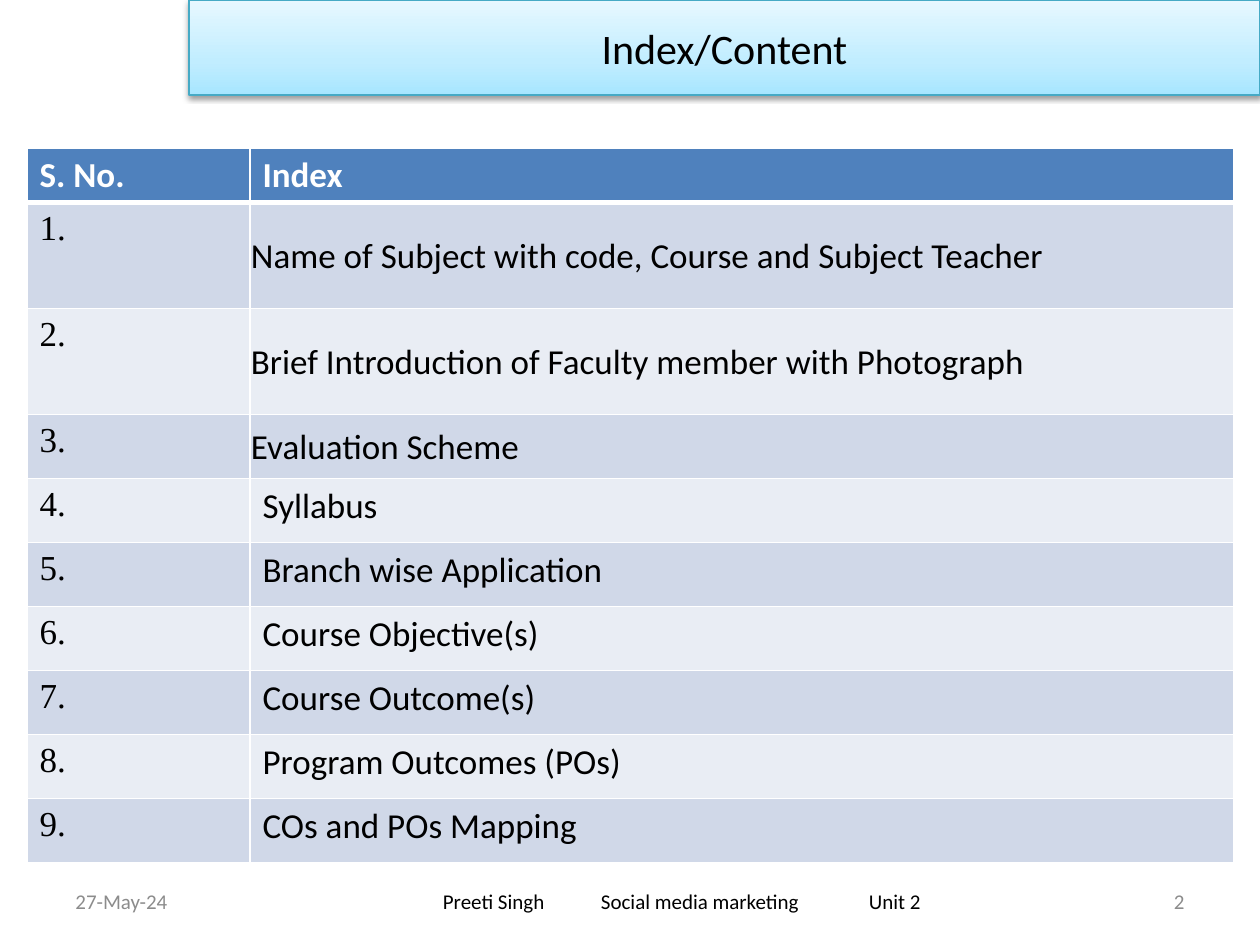
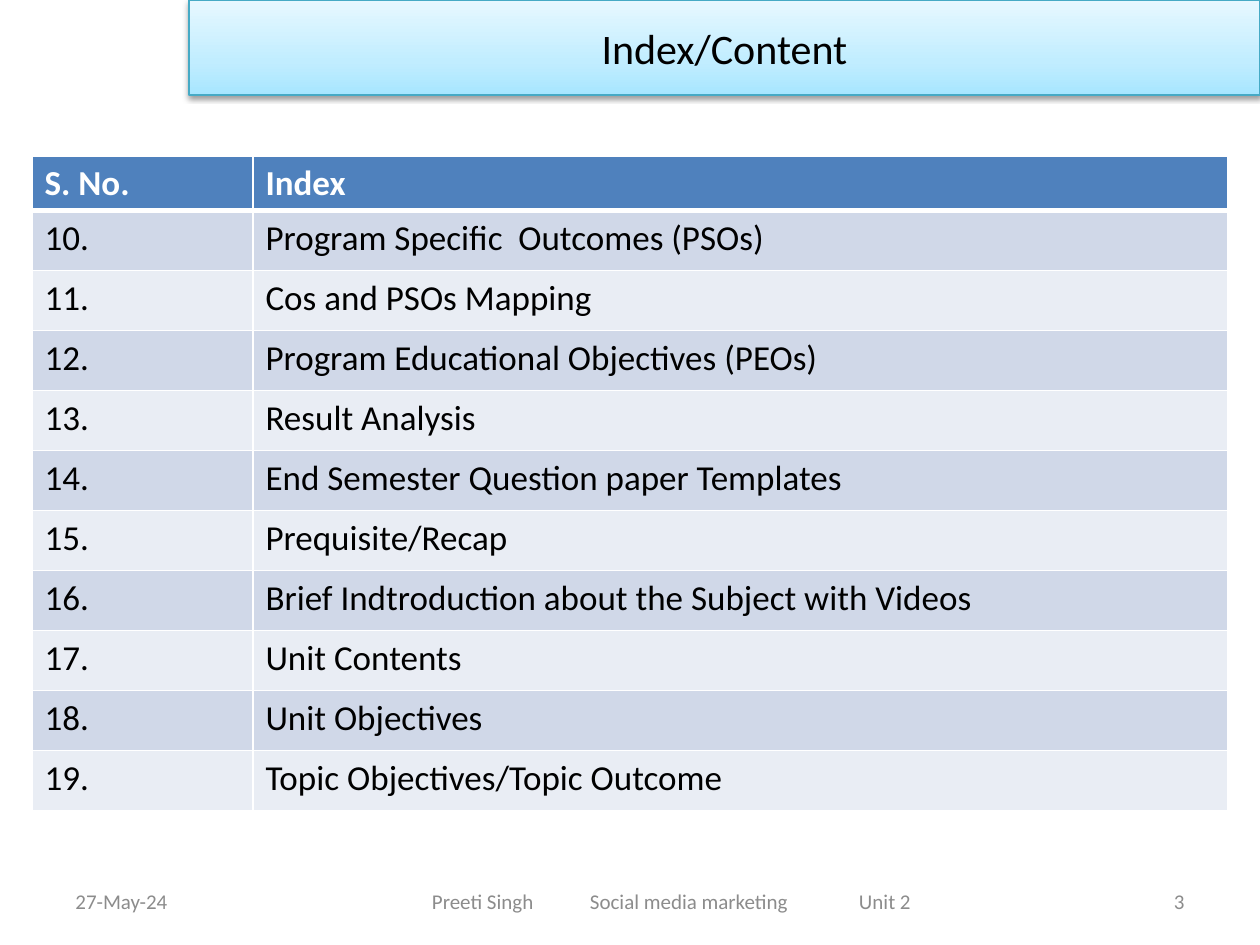
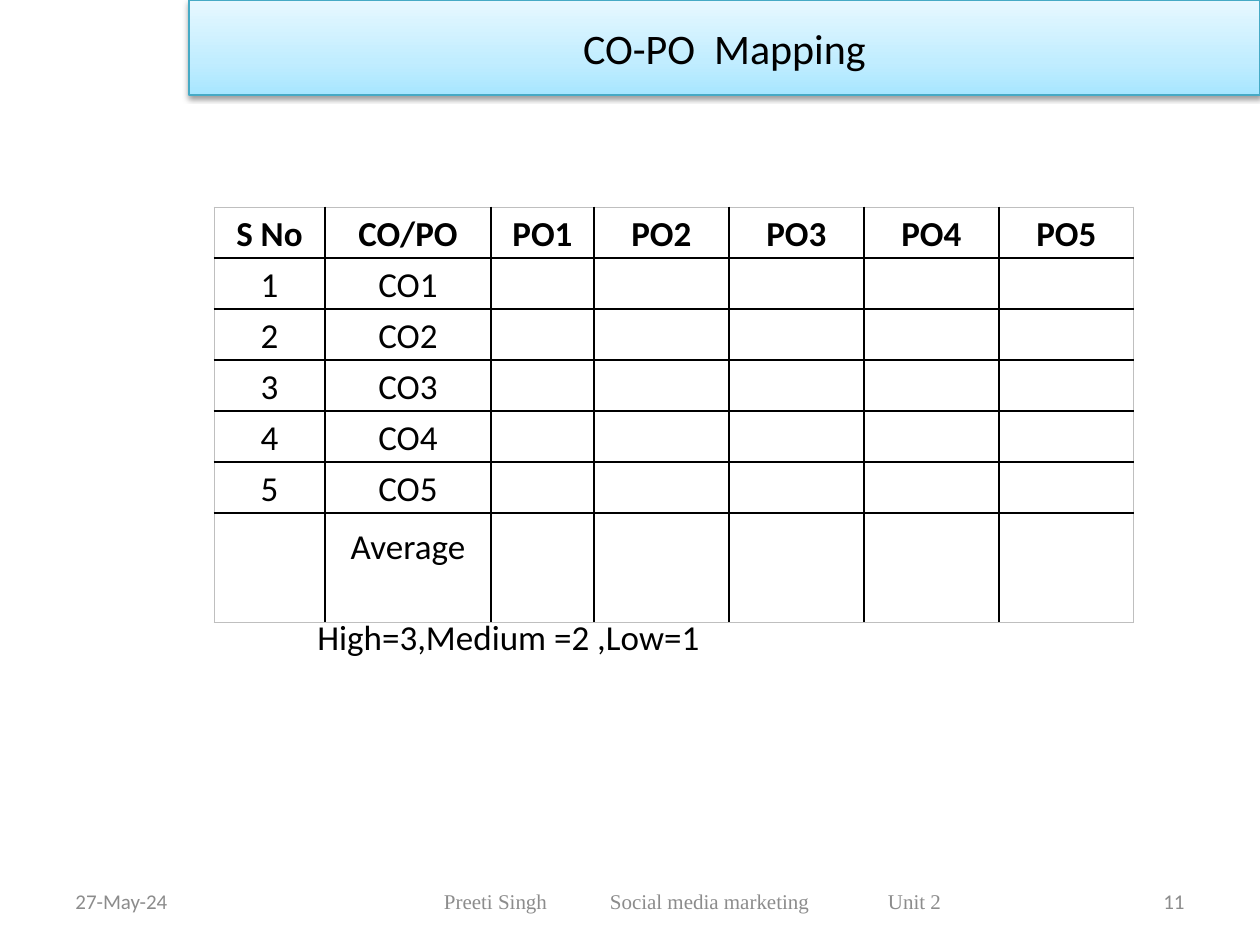
"""Build three course slides: two index tables and a CO-PO mapping grid."""
from lxml.etree import SubElement
from pptx import Presentation
from pptx.dml.color import RGBColor
from pptx.enum.shapes import MSO_SHAPE
from pptx.enum.text import MSO_ANCHOR as Anchor, PP_ALIGN as Align
from pptx.oxml.ns import qn
from pptx.util import Pt

PX = 7257
COLORS = {
    "black": "000000", "white": "FFFFFF", "gray": "8C8C8C", "edge": "BFBFBF",
    "header": "4F81BD", "odd": "D0D8E8", "even": "E9EDF4", "band_line": "46AAC5",
}
BAND_STOPS = ((0, "A7E6FF"), (35, "C1EDFF"), (100, "E7F8FF"))
SANS, SERIF = "Calibri", "Times New Roman"


def write(frame, text, size, color="black", font=SANS, bold=False, align=Align.LEFT):
    """Put one formatted paragraph in a text frame and return it."""
    frame.text = text
    para = frame.paragraphs[0]
    para.alignment = align
    for span in para.runs:
        span.font.size = Pt(size)
        span.font.name = font
        span.font.bold = bold
        span.font.color.rgb = RGBColor.from_string(COLORS[color])
    return para


def draw_borders(cell, borders):
    """Set left, right, top and bottom cell lines from (colour, points) pairs."""
    properties = cell._tc.get_or_add_tcPr()
    for side, (color, width) in zip("LRTB", borders):
        line = SubElement(properties, qn(f"a:ln{side}"), w=str(Pt(width)))
        fill = SubElement(line, qn("a:solidFill"))
        SubElement(fill, qn("a:srgbClr"), val=COLORS[color])


deck = Presentation()
deck.slide_width, deck.slide_height = 1260 * PX, 945 * PX

footer_parts = ("Preeti Singh", "Social media marketing", "Unit 2")
pages = (
    dict(title="Index/Content", number="2", box=(242, 882), starts=(443, 601, 869),
         color="black", font=SANS),
    dict(title="Index/Content", number="3", box=(231, 882), starts=(432, 590, 859),
         color="gray", font=SANS),
    dict(title="CO-PO  Mapping", number="11", box=(347, 693), starts=(444, 610, 888),
         color="gray", font=SERIF),
)
slides = []
for page in pages:
    slide = deck.slides.add_slide(deck.slide_layouts[6])
    slides.append(slide)

    band = slide.shapes.add_shape(MSO_SHAPE.RECTANGLE, 189 * PX, 0, 1071 * PX, 95 * PX)
    band.fill.gradient()
    band.fill.gradient_angle = 90
    stops = band._element.spPr.find(".//" + qn("a:gsLst"))
    stops.clear()
    for position, color in BAND_STOPS:
        stop = SubElement(stops, qn("a:gs"), pos=str(position * 1000))
        SubElement(stop, qn("a:srgbClr"), val=color)
    band.line.color.rgb = RGBColor.from_string(COLORS["band_line"])
    band.line.width = Pt(0.75)
    band.shadow.inherit = False
    effects = band._element.spPr.find(qn("a:effectLst"))
    shadow = SubElement(effects, qn("a:outerShdw"), blurRad="40000", dist="20000",
                        dir="5400000", rotWithShape="0")
    shade = SubElement(shadow, qn("a:srgbClr"), val=COLORS["black"])
    SubElement(shade, qn("a:alpha"), val="38000")
    band.text_frame.vertical_anchor = Anchor.MIDDLE
    write(band.text_frame, page["title"], 24, align=Align.CENTER)

    footers = (
        (63, 294, "27-May-24", "gray", SANS, Align.LEFT),
        (*page["box"], "\t".join(footer_parts), page["color"], page["font"], Align.LEFT),
        (903, 294, page["number"], "gray", SANS, Align.RIGHT),
    )
    for left, width, text, color, font, align in footers:
        box = slide.shapes.add_textbox(left * PX, 876 * PX, width * PX, 50 * PX)
        box.text_frame.word_wrap = True
        box.text_frame.vertical_anchor = Anchor.MIDDLE
        para = write(box.text_frame, text, 12, color, font, align=align)
        if "\t" in text:
            first, *others = page["starts"]
            box.text_frame.margin_left = (first - left) * PX
            tabs = SubElement(para._p.get_or_add_pPr(), qn("a:tabLst"))
            for start in others:
                SubElement(tabs, qn("a:tab"), pos=str((start - first) * PX), algn="l")

indexes = (
    dict(at=(27, 148), columns=(223, 984), heights=[54] + [106] * 2 + [64] * 7,
         first=1, font=SERIF, tight=3, topics=(
             "Name of Subject with code, Course and Subject Teacher",
             "Brief Introduction of Faculty member with Photograph",
             "Evaluation Scheme", "Syllabus", "Branch wise Application",
             "Course Objective(s)", "Course Outcome(s)", "Program Outcomes (POs)",
             "COs and POs Mapping")),
    dict(at=(32, 156), columns=(221, 975), heights=[51] + [60] * 10,
         first=10, font=SANS, tight=0, topics=(
             "Program Specific  Outcomes (PSOs)", "Cos and PSOs Mapping",
             "Program Educational Objectives (PEOs)", "Result Analysis",
             "End Semester Question paper Templates", "Prequisite/Recap",
             "Brief Indtroduction about the Subject with Videos", "Unit Contents",
             "Unit Objectives", "Topic Objectives/Topic Outcome")),
)
mapping = dict(at=(214, 207), columns=[111, 166, 103] + [135] * 4, heights=[51] * 6 + [109])

tables = []
for slide, layout in zip(slides, (*indexes, mapping)):
    columns, heights = layout["columns"], layout["heights"]
    left, top = layout["at"]
    table = slide.shapes.add_table(len(heights), len(columns), left * PX, top * PX,
                                   sum(columns) * PX, sum(heights) * PX).table
    table.first_row = table.horz_banding = False
    for column, width in zip(table.columns, columns):
        column.width = width * PX
    for row, height in zip(table.rows, heights):
        row.height = height * PX
    tables.append(table)

for index, table in zip(indexes, tables):
    rows = [("S. No.", "Index")]
    rows += [(f"{number}.", topic) for number, topic in enumerate(index["topics"], index["first"])]
    for r, texts in enumerate(rows):
        shade = "header" if r == 0 else "odd" if r % 2 else "even"
        for c, text in enumerate(texts):
            cell = table.cell(r, c)
            draw_borders(cell, (("white", 1), ("white", 1), ("white", 3 if r == 1 else 1),
                                ("white", 3 if r == 0 else 1)))
            cell.fill.solid()
            cell.fill.fore_color.rgb = RGBColor.from_string(COLORS[shade])
            write(cell.text_frame, text, 20, "black" if r else "white",
                  index["font"] if r and c == 0 else SANS, bold=r == 0)
            if c == 1 and 1 <= r <= index["tight"]:
                cell.vertical_anchor = Anchor.MIDDLE
                cell.margin_left = cell.margin_right = cell.margin_top = PX
                cell.margin_bottom = 0

grid = tables[-1]
labels = [["S No", "CO/PO"] + [f"PO{n}" for n in range(1, 6)]]
labels += [[str(n), f"CO{n}"] + [""] * 5 for n in range(1, 6)]
labels += [["", "Average"] + [""] * 5]
last_row, last_column = len(labels) - 1, len(labels[0]) - 1
for r, texts in enumerate(labels):
    for c, text in enumerate(texts):
        cell = grid.cell(r, c)
        outer = (c == 0, c == last_column, r == 0, r == last_row)
        draw_borders(cell, [("edge", 0.5) if side else ("black", 1) for side in outer])
        cell.fill.background()
        if r < last_row:
            cell.margin_left = cell.margin_right = 9 * PX
            cell.margin_top = cell.margin_bottom = 0
        para = write(cell.text_frame, text, 20, bold=r == 0, align=Align.CENTER)
        para.line_spacing = 1.15

legend = slides[-1].shapes.add_textbox(305 * PX, 609 * PX, 634 * PX, 93 * PX)
legend.text_frame.word_wrap = True
write(legend.text_frame, "High=3,Medium =2 ,Low=1", 20)

deck.save("out.pptx")
